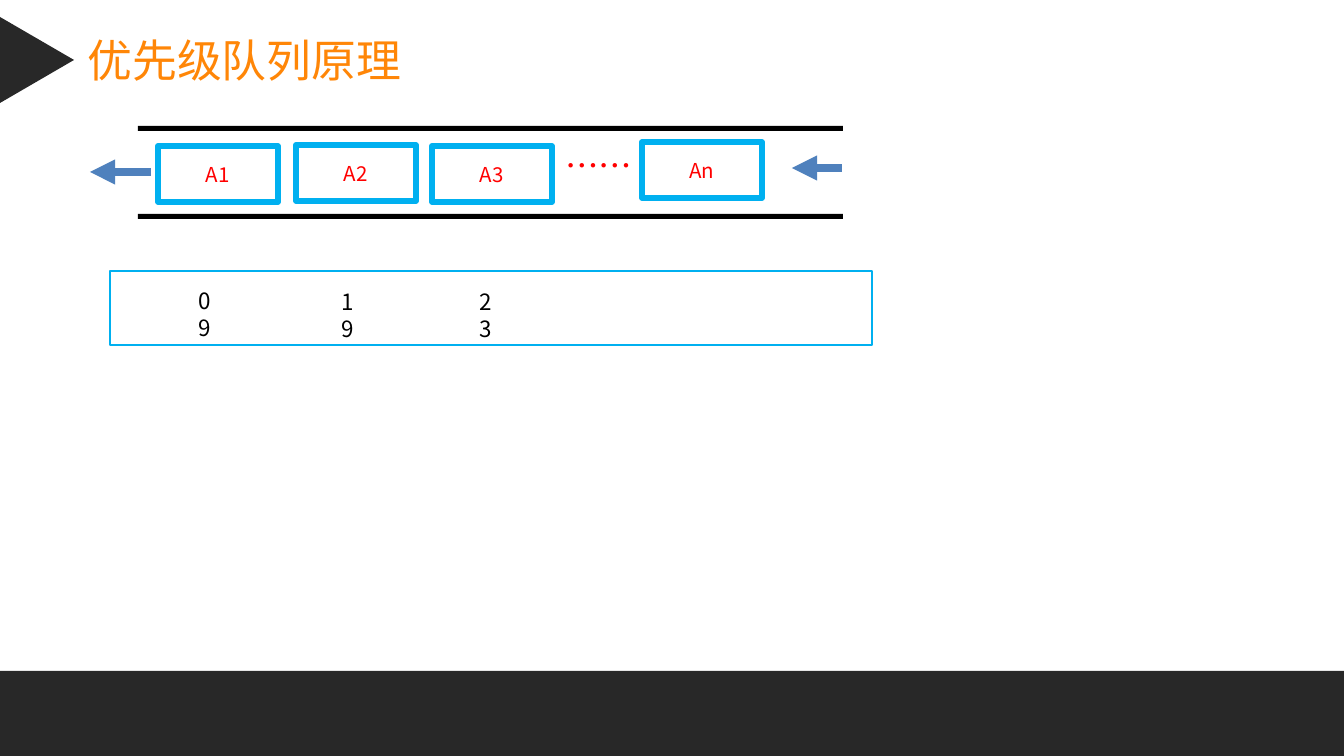
from pptx import Presentation
from pptx.dml.color import RGBColor
from pptx.enum import shapes, text
from pptx.oxml.ns import qn
from pptx.util import Inches, Pt

# Content, all lengths in px
WIDTH, HEIGHT = 1344, 756
SCALE = Inches(10) / WIDTH
DARK, ORANGE, BLACK, RED = "282828", "FF8607", "000000", "FF0000"
CYAN, BLUE = "00B0F0", "4F81BD"
FONT = "Noto Sans CJK SC"

TITLE = "优先级队列原理"
RAIL_TOPS = (126, 214)
ITEMS = [("A1", 158, 146), ("A2", 296, 145), ("A3", 432, 146), ("An", 642, 142)]
ARROWS = [(842, 792, 168), (151, 90, 172)]  # from x, to x, y
PRIORITIES = [(("0", "9"), 185, 281), (("1", "9"), 328, 282), (("2", "3"), 466, 282)]


def px(*values):
    return [round(value * SCALE) for value in values]


def colour(hex_string):
    return RGBColor.from_string(hex_string)


def add_box(kind, area, fill=None, line=None, width=0):
    box = page.shapes.add_shape(kind, *px(*area))
    box.shadow.inherit = False
    if fill:
        box.fill.solid()
        box.fill.fore_color.rgb = colour(fill)
    else:
        box.fill.background()
    if line:
        box.line.color.rgb = colour(line)
        box.line.width = Pt(width)
    else:
        box.line.fill.background()
    return box


def write(box, lines, size, ink, font=FONT, align=text.PP_ALIGN.LEFT,
          anchor=text.MSO_ANCHOR.TOP, wrap=True):
    frame = box.text_frame
    frame.word_wrap = wrap
    frame.vertical_anchor = anchor
    for index, line in enumerate(lines):
        para = frame.add_paragraph() if index else frame.paragraphs[0]
        para.alignment = align
        span = para.add_run()
        span.text = line
        span.font.size = Pt(size)
        span.font.name = font
        span.font.color.rgb = colour(ink)
        east_asian = span.font._element.makeelement(qn("a:ea"), {"typeface": FONT})
        span.font._element.find(qn("a:latin")).addnext(east_asian)


def write_centred(box, line, size):
    write(box, [line], size, RED, align=text.PP_ALIGN.CENTER,
          anchor=text.MSO_ANCHOR.MIDDLE)


def add_arrow(start, end, y):
    arrow = page.shapes.add_connector(
        shapes.MSO_CONNECTOR.STRAIGHT, *px(start, y, end, y))
    arrow.line.color.rgb = colour(BLUE)
    arrow.line.width = Pt(4.5)
    outline = arrow.line._get_or_add_ln()
    outline.append(outline.makeelement(qn("a:tailEnd"), {"type": "triangle"}))
    outline.addnext(outline.makeelement(qn("a:effectLst"), {}))


deck = Presentation()
deck.slide_width, deck.slide_height = px(WIDTH, HEIGHT)
page = deck.slides.add_slide(deck.slide_layouts[5])
RECTANGLE = shapes.MSO_SHAPE.RECTANGLE

# Footer band, title and marker
add_box(RECTANGLE, (0, 671, WIDTH, 85), DARK)
title = page.shapes.title
title.left, title.top, title.width, title.height = px(74, 26, 344, 67)
write(title, [TITLE], 24, ORANGE, font="Arial Narrow", wrap=False)
marker = add_box(shapes.MSO_SHAPE.ISOSCELES_TRIANGLE, (-6, 23, 86, 74), DARK)
marker.rotation = 90

# Queue: rails, items, ellipsis and flow arrows
for top in RAIL_TOPS:
    add_box(RECTANGLE, (138, top, 705, 5), BLACK)
for label, left, top in ITEMS:
    item = add_box(RECTANGLE, (left, top, 120, 56), line=CYAN, width=3)
    write_centred(item, label, 11)
ellipsis = page.shapes.add_textbox(*px(531, 116, 136, 99))
write_centred(ellipsis, "……", 18)
for arrow in ARROWS:
    add_arrow(*arrow)

# Index and priority of each item
add_box(RECTANGLE, (110, 271, 762, 74), line=CYAN, width=1)
for lines, left, top in PRIORITIES:
    write(page.shapes.add_textbox(*px(left, top, 55, 67)), lines, 12, BLACK)

deck.save("out.pptx")
